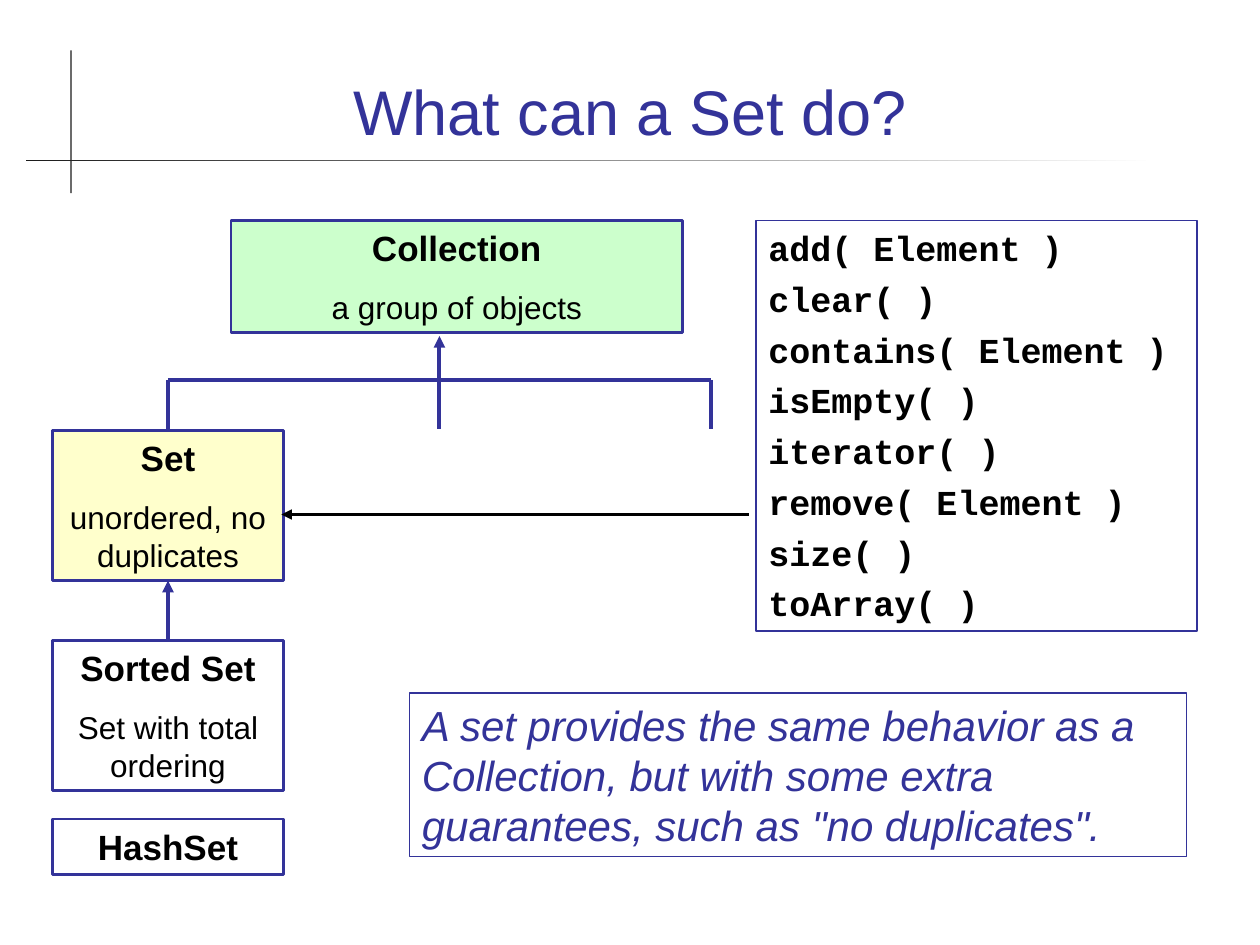
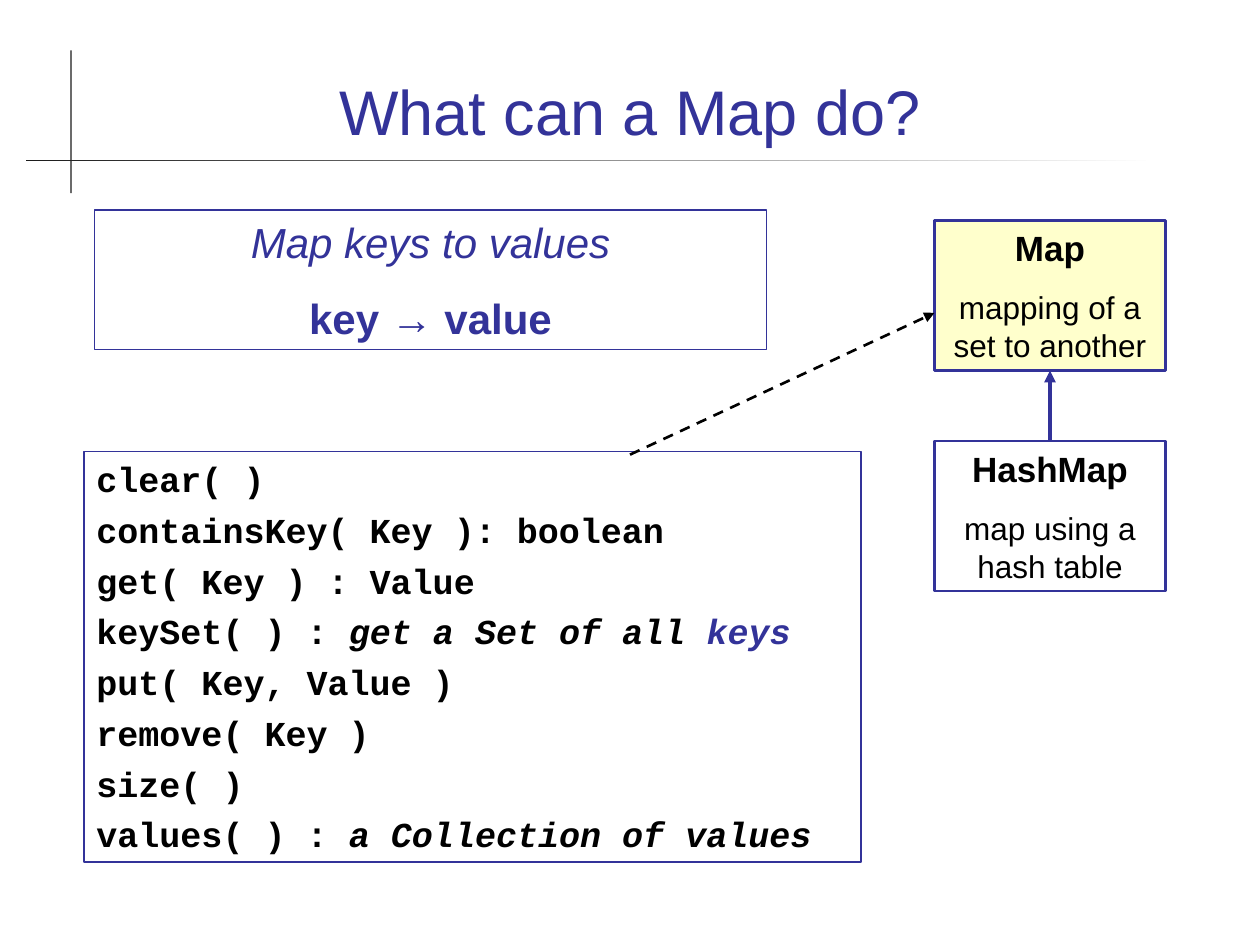
import pptx
import pptx.dml.color
import pptx.enum.dml
import pptx.enum.shapes
import pptx.enum.text
import pptx.oxml.ns
import pptx.util
from lxml import etree

RGBColor = pptx.dml.color.RGBColor
ALIGN = pptx.enum.text.PP_ALIGN
Pt = pptx.util.Pt
qn = pptx.oxml.ns.qn

INDIGO = RGBColor(0x33, 0x33, 0x99)
BLACK = RGBColor(0, 0, 0)
CHARCOAL = RGBColor(0x1C, 0x1C, 0x1C)
WHITE = RGBColor(0xFF, 0xFF, 0xFF)
MINT = RGBColor(0xCC, 0xFF, 0xCC)
CREAM = RGBColor(0xFF, 0xFF, 0xCC)

SANS = "Arial"
MONO = "Courier New"

WIDTH = pptx.util.Inches(10)
HEIGHT = pptx.util.Inches(7.5)
COLUMNS, ROWS = 120, 90
TYPE_WIDTH, TYPE_HEIGHT = 22, 14.3
CODE_HEIGHT = 39.1
TOP, BOTTOM, FIRST_ROW = 0, 2, 21


def across(columns):
    return round(WIDTH * columns / COLUMNS)


def down(rows):
    return round(HEIGHT * rows / ROWS)


def place(box):
    left, top, width, height = box
    return across(left), down(top), across(width), down(height)


def set_font(font, size, color, name=SANS, bold=False, italic=False):
    font.size = Pt(size)
    font.name = name
    font.bold = bold
    font.italic = italic
    font.color.rgb = color


def add_rectangle(page, box):
    shape = page.shapes.add_shape(
        pptx.enum.shapes.MSO_SHAPE.RECTANGLE, *place(box))
    shape.shadow.inherit = False
    return shape


def add_panel(page, box, line_width, fill=None):
    panel = add_rectangle(page, box)
    if fill is None:
        panel.fill.background()
    else:
        panel.fill.solid()
        panel.fill.fore_color.rgb = fill
    panel.line.color.rgb = INDIGO
    panel.line.width = Pt(line_width)
    panel.text_frame.vertical_anchor = pptx.enum.text.MSO_ANCHOR.TOP
    return panel


def add_para(frame, index, align, space):
    para = frame.add_paragraph() if index else frame.paragraphs[0]
    para.alignment = align
    if index:
        para.space_before = Pt(space)
    return para


def add_line(page, start, end, color=INDIGO, width=2.25, arrow=False, dashed=False):
    line = page.shapes.add_connector(
        pptx.enum.shapes.MSO_CONNECTOR.STRAIGHT,
        across(start[0]), down(start[1]), across(end[0]), down(end[1]))
    line.line.color.rgb = color
    line.line.width = Pt(width)
    if dashed:
        line.line.dash_style = pptx.enum.dml.MSO_LINE.DASH
    properties = line.element.spPr
    if arrow:
        etree.SubElement(properties.find(qn("a:ln")), qn("a:tailEnd"), type="triangle")
    etree.SubElement(properties, qn("a:effectLst"))
    return line


def add_inheritance(page, child, parent):
    arrow = add_line(page, (0, 0), (0, 0), arrow=True)
    arrow.begin_connect(child, TOP)
    arrow.end_connect(parent, BOTTOM)


def add_page(deck, title):
    page = deck.slides.add_slide(deck.slide_layouts[5])
    upright = add_rectangle(page, (6.7, 4.8, 0.12, 13.6))
    upright.fill.solid()
    upright.fill.fore_color.rgb = CHARCOAL
    rule = add_rectangle(page, (2.5, 15.2, 107.6, 0.12))
    rule.fill.gradient()
    rule.fill.gradient_angle = 0
    for stop, color in zip(rule.fill.gradient_stops, (CHARCOAL, WHITE)):
        stop.color.rgb = color
    for bar in (upright, rule):
        bar.line.fill.background()

    heading = page.shapes.title
    heading.left, heading.top, heading.width, heading.height = place((8, 3.3, 104, 11.4))
    heading.text_frame.text = title
    heading.text_frame.vertical_anchor = pptx.enum.text.MSO_ANCHOR.BOTTOM
    para = heading.text_frame.paragraphs[0]
    para.alignment = ALIGN.CENTER
    set_font(para.font, 36, INDIGO)
    return page


def add_type(page, box, name, meaning=None, fill=None):
    panel = add_panel(page, box, 1.5, fill)
    para = add_para(panel.text_frame, 0, ALIGN.CENTER, 0)
    para.text = name
    set_font(para.font, 20, BLACK, bold=True)
    if meaning:
        para = add_para(panel.text_frame, 1, ALIGN.CENTER, 11.25)
        para.text = meaning
        set_font(para.font, 18, BLACK)
    return panel


def add_methods(page, box, methods):
    frame = add_panel(page, box, 0.75).text_frame
    for index, (signature, *remarks) in enumerate(methods):
        para = add_para(frame, index, ALIGN.LEFT, 5)
        set_font(para.font, 20, BLACK, MONO, bold=True)
        para.add_run().text = signature
        for remark, color in remarks:
            span = para.add_run()
            span.text = remark
            span.font.italic = True
            span.font.color.rgb = color


def add_note(page, box, lines, align):
    frame = add_panel(page, box, 0.75).text_frame
    for index, (text, bold) in enumerate(lines):
        para = add_para(frame, index, align, 15)
        para.text = text
        set_font(para.font, 24, INDIGO, bold=bold, italic=not bold)


def add_branches(page, box, first_child):
    left, top, width, height = box
    right, middle, bottom = left + width, left + width / 2, top + height
    bus = top + height * 0.47
    add_line(page, (left, bus), (right, bus))
    add_line(page, (middle, bus), (middle, top), arrow=True)
    for x in (left, middle, right):
        branch = add_line(page, (x, bus), (x, bottom))
        if x == left:
            branch.end_connect(first_child, TOP)


def build_set_page(deck):
    page = add_page(deck, "What can a Set do?")
    add_type(page, (22, FIRST_ROW, 43, 10.7), "Collection", "a group of objects", MINT)
    set_type = add_type(page, (5, 41, TYPE_WIDTH, TYPE_HEIGHT),
                        "Set", "unordered, no duplicates", CREAM)
    sorted_set = add_type(page, (5, 61, TYPE_WIDTH, TYPE_HEIGHT),
                          "Sorted Set", "Set with total ordering")
    add_type(page, (5, 78, TYPE_WIDTH, 5.3), "HashSet")
    add_branches(page, (16, 32, 51.7, 8.9), set_type)
    add_inheritance(page, sorted_set, set_type)
    names = ("add( Element )", "clear( )", "contains( Element )", "isEmpty( )",
             "iterator( )", "remove( Element )", "size( )", "toArray( )")
    add_methods(page, (72, FIRST_ROW, 42, CODE_HEIGHT), [(name,) for name in names])
    add_line(page, (71.3, 49), (26.8, 49), BLACK, 1.5, arrow=True)
    add_note(page, (39, 66, 74, 15.6), [
        ("A set provides the same behavior as a Collection, but with some extra "
         'guarantees, such as "no duplicates".', False)], ALIGN.LEFT)


def build_map_page(deck):
    page = add_page(deck, "What can a Map do?")
    map_type = add_type(page, (89, FIRST_ROW, TYPE_WIDTH, TYPE_HEIGHT),
                        "Map", "mapping of a set to another", CREAM)
    hash_map = add_type(page, (89, 42, TYPE_WIDTH, TYPE_HEIGHT),
                        "HashMap", "map using a hash table")
    add_inheritance(page, hash_map, map_type)
    add_methods(page, (8, 43, 74, CODE_HEIGHT), [
        ("clear( )",),
        ("containsKey( Key ): boolean",),
        ("get( Key ) : Value",),
        ("keySet( ) : ", ("get a Set of all ", BLACK), ("keys", INDIGO)),
        ("put( Key, Value )",),
        ("remove( Key )",),
        ("size( )",),
        ("values( ) : ", ("a Collection of values", BLACK)),
    ])
    add_note(page, (9, 20, 64, 13.3),
             [("Map keys to values", False), ("key → value", True)], ALIGN.CENTER)
    add_line(page, (60, 43.3), (89, 29.8), BLACK, 1.5, arrow=True, dashed=True)


def main():
    deck = pptx.Presentation()
    deck.slide_width, deck.slide_height = WIDTH, HEIGHT
    build_set_page(deck)
    build_map_page(deck)
    deck.save("out.pptx")


if __name__ == "__main__":
    main()
